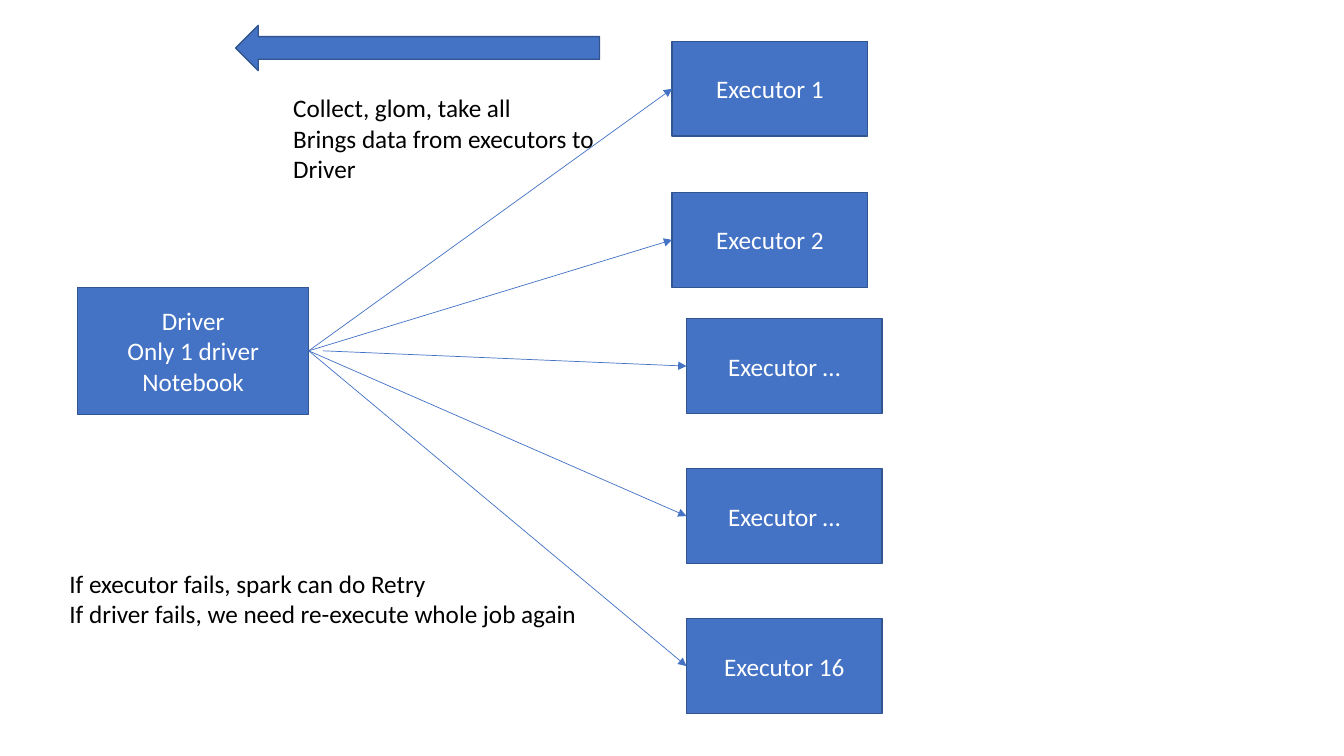
from dataclasses import dataclass

from lxml.etree import SubElement
from pptx import Presentation
from pptx.dml.color import RGBColor
from pptx.enum.shapes import MSO_CONNECTOR, MSO_SHAPE
from pptx.enum.text import MSO_ANCHOR, MSO_AUTO_SIZE, PP_ALIGN
from pptx.oxml.ns import qn
from pptx.shapes.autoshape import Shape
from pptx.slide import Slide
from pptx.text.text import TextFrame
from pptx.util import Cm, Pt


@dataclass(frozen=True)
class Theme:
    """Colours, font and sizes of the slide."""
    fill: RGBColor = RGBColor(0x44, 0x72, 0xC4)
    outline: RGBColor = RGBColor(0x32, 0x54, 0x91)
    box_text: RGBColor = RGBColor(0xFF, 0xFF, 0xFF)
    note_text: RGBColor = RGBColor(0, 0, 0)
    font: str = "Calibri"
    text_size: Pt = Pt(18)
    outline_width: Pt = Pt(1)
    link_width: Pt = Pt(0.5)


@dataclass(frozen=True)
class Area:
    """Position and size in centimetres."""
    left: float
    top: float
    width: float
    height: float

    def lengths(self) -> tuple[Cm, Cm, Cm, Cm]:
        """Return the four values as lengths."""
        return Cm(self.left), Cm(self.top), Cm(self.width), Cm(self.height)


@dataclass(frozen=True)
class Executor:
    """An executor box and the gap between the driver and its link."""
    label: str
    left: float
    top: float
    link_gap: float = 0


@dataclass(frozen=True)
class Note:
    """A free text block."""
    area: Area
    lines: tuple[str, ...]


THEME = Theme()
EXECUTOR_WIDTH, EXECUTOR_HEIGHT = 4.93, 2.39
UPPER_LEFT, LOWER_LEFT = 16.94, 17.3
LOWER_TOP, LOWER_PITCH = 8.03, 3.78
LEFT_SITE, RIGHT_SITE = 1, 3

DRIVER_AREA = Area(1.96, 7.24, 5.82, 3.2)
DRIVER_LINES = ("Driver", "Only 1 driver", "Notebook")
COLLECT_ARROW_AREA = Area(5.94, 0.64, 9.17, 1.14)
EXECUTORS = [
    Executor("Executor 1", UPPER_LEFT, 1.04),
    Executor("Executor 2", UPPER_LEFT, 4.85),
    Executor("Executor …", LOWER_LEFT, LOWER_TOP, link_gap=0.36),
    Executor("Executor …", LOWER_LEFT, LOWER_TOP + LOWER_PITCH),
    Executor("Executor 16", LOWER_LEFT, LOWER_TOP + 2 * LOWER_PITCH),
]
NOTES = [
    Note(Area(7.14, 2.21, 8.18, 3.33),
         ("Collect, glom, take all", "Brings data from executors to", "Driver")),
    Note(Area(1.5, 14.2, 13.44, 2.57),
         ("If executor fails, spark can do Retry",
          "If driver fails, we need re-execute whole job again")),
]
BOX_FRAME = {"vertical_anchor": MSO_ANCHOR.MIDDLE, "word_wrap": True}
NOTE_FRAME = {"vertical_anchor": MSO_ANCHOR.TOP, "word_wrap": False,
              "auto_size": MSO_AUTO_SIZE.NONE}


def apply_format(target: object, values: dict[str, object]) -> None:
    """Set each named attribute on the target."""
    for name, value in values.items():
        setattr(target, name, value)


def write_lines(frame: TextFrame, lines: tuple[str, ...], color: RGBColor,
                alignment: PP_ALIGN, frame_format: dict[str, object]) -> None:
    """Write one paragraph per line in the theme font."""
    apply_format(frame, frame_format)
    frame.text = "\n".join(lines)
    for paragraph in frame.paragraphs:
        paragraph.alignment = alignment
        for run in paragraph.runs:
            apply_format(run.font, {"name": THEME.font, "size": THEME.text_size})
            run.font.color.rgb = color


def add_block(slide: Slide, area: Area, lines: tuple[str, ...] = (),
              kind: MSO_SHAPE = MSO_SHAPE.RECTANGLE) -> Shape:
    """Add a filled, outlined shape with centred text."""
    shape = slide.shapes.add_shape(kind, *area.lengths())
    shape.shadow.inherit = False
    shape.fill.solid()
    shape.fill.fore_color.rgb = THEME.fill
    shape.line.color.rgb = THEME.outline
    shape.line.width = THEME.outline_width
    if lines:
        write_lines(shape.text_frame, lines, THEME.box_text, PP_ALIGN.CENTER, BOX_FRAME)
    return shape


def add_link(slide: Slide, driver: Shape, box: Shape, gap: float) -> None:
    """Draw a thin arrow from the driver to an executor box."""
    start_x = driver.left + driver.width + Cm(gap)
    start_y = driver.top + driver.height // 2
    link = slide.shapes.add_connector(
        MSO_CONNECTOR.STRAIGHT, start_x, start_y, box.left, box.top + box.height // 2)
    if not gap:
        link.begin_connect(driver, RIGHT_SITE)
    link.end_connect(box, LEFT_SITE)
    link.line.color.rgb = THEME.fill
    link.line.width = THEME.link_width
    SubElement(link.line._get_or_add_ln(), qn("a:tailEnd"), type="triangle")
    SubElement(link._element.spPr, qn("a:effectLst"))


def add_note(slide: Slide, note: Note) -> None:
    """Add a plain text block."""
    box = slide.shapes.add_textbox(*note.area.lengths())
    write_lines(box.text_frame, note.lines, THEME.note_text, PP_ALIGN.LEFT, NOTE_FRAME)


def main() -> None:
    """Build and save the driver and executors slide."""
    presentation = Presentation()
    apply_format(presentation, {"slide_width": Cm(33.87), "slide_height": Cm(19.05)})
    blank_layout = presentation.slide_layouts.get_by_name("Blank")
    slide = presentation.slides.add_slide(blank_layout)

    driver = add_block(slide, DRIVER_AREA, DRIVER_LINES)
    boxes = [
        add_block(slide, Area(item.left, item.top, EXECUTOR_WIDTH, EXECUTOR_HEIGHT),
                  (item.label,))
        for item in EXECUTORS
    ]
    for item, box in zip(EXECUTORS, boxes):
        add_link(slide, driver, box, item.link_gap)
    add_block(slide, COLLECT_ARROW_AREA, kind=MSO_SHAPE.LEFT_ARROW)
    for note in NOTES:
        add_note(slide, note)
    presentation.save("out.pptx")


main()
